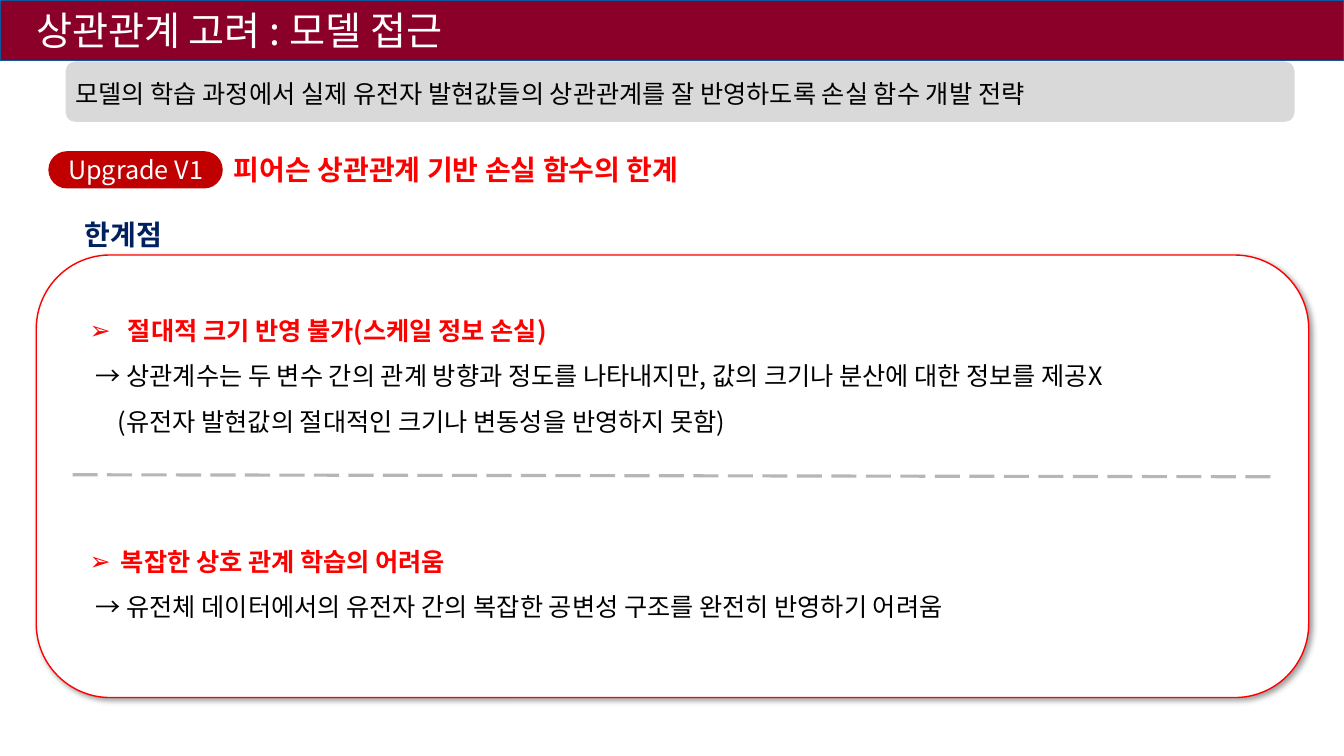
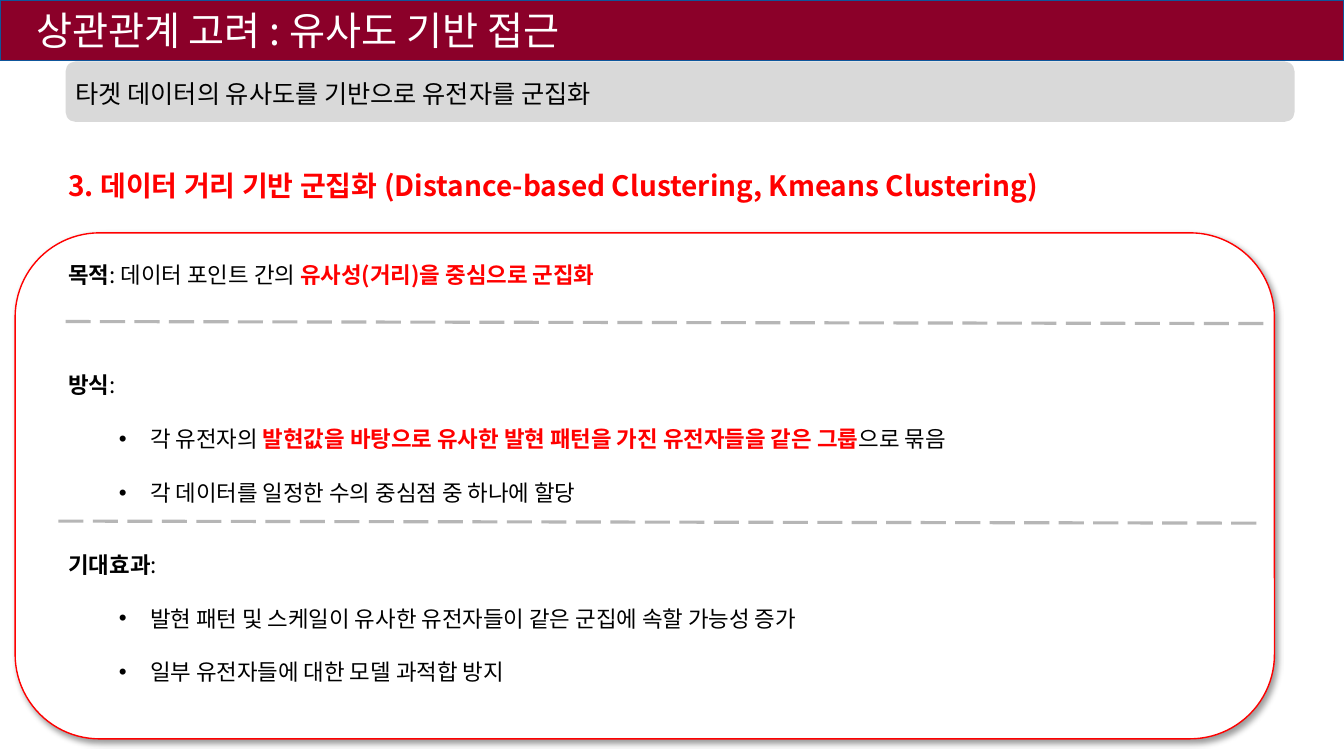
from dataclasses import dataclass
from lxml import etree
from pptx import Presentation
from pptx.dml.color import RGBColor
from pptx.enum.dml import MSO_LINE
from pptx.enum.shapes import MSO_CONNECTOR, MSO_SHAPE
from pptx.enum.text import MSO_ANCHOR, PP_ALIGN
from pptx.oxml import parse_xml
from pptx.oxml.ns import nsdecls, qn
from pptx.util import Emu, Pt

PX = 9144  # 100 px to the inch


@dataclass(frozen=True)
class Theme:
    font: str = "Noto Sans CJK KR"
    latin: str = "Arial"
    white: str = "FFFFFF"
    black: str = "000000"
    red: str = "FF0000"
    pill: str = "C00000"
    navy: str = "002060"
    band: str = "8B0029"
    band_edge: str = "0F569B"
    strip: str = "D9D9D9"
    dash: str = "B6B6B6"
    title: int = 28
    heading: int = 20
    body: int = 18
    detail: int = 16


theme = Theme()

# Colour and weight of each kind of span
STYLES = {
    "plain": (theme.black, False),
    "strong": (theme.black, True),
    "alert": (theme.red, True),
    "light": (theme.white, False),
    "label": (theme.navy, True),
}


def write(frame, paragraphs, size, spacing=None, font=theme.font):
    """Each paragraph is (spans, left indent, hanging indent, bullet)."""
    frame.word_wrap = True
    for index, (spans, left, hang, bullet) in enumerate(paragraphs):
        para = frame.paragraphs[0] if index == 0 else frame.add_paragraph()
        if spacing:
            para.line_spacing = spacing
        properties = para._p.get_or_add_pPr()
        properties.set("marL", str(left * PX))
        properties.set("indent", str(-hang * PX))
        if bullet:
            etree.SubElement(properties, qn("a:buFont")).set("typeface", theme.latin)
            etree.SubElement(properties, qn("a:buChar")).set("char", bullet)
        for text, style in spans:
            span = para.add_run()
            span.text = text
            color, bold = STYLES[style]
            for name, value in {"size": Pt(size), "bold": bold, "name": font}.items():
                setattr(span.font, name, value)
            span.font.color.rgb = RGBColor.from_string(color)
            east = etree.SubElement(span._r.get_or_add_rPr(), qn("a:ea"))
            east.set("typeface", theme.font)


def add_panel(page, kind, area, fill, edge=None):
    panel = page.shapes.add_shape(kind, *[Emu(length * PX) for length in area])
    panel.shadow.inherit = False
    panel.fill.solid()
    panel.fill.fore_color.rgb = RGBColor.from_string(fill)
    if edge:
        panel.line.color.rgb = RGBColor.from_string(edge)
        panel.line.width = Pt(1)
    else:
        panel.line.fill.background()
    return panel


def line_of(text, style, left=0, hang=0, bullet=None):
    return ([(text, style)], left, hang, bullet)


# Content: text boxes are (area, paragraphs, size, line spacing, font)
PAGES = [
    {
        "title": "상관관계 고려 : 모델 접근",
        "summary": "모델의 학습 과정에서 실제 유전자 발현값들의 상관관계를 잘 반영하도록 손실 함수 개발 전략",
        "frame": (36, 253, 1262, 439),
        "pill": "Upgrade V1",
        "dashes": [(72, 471)],
        "texts": [
            ((222, 146, 510, 44),
             [line_of("피어슨 상관관계 기반 손실 함수의 한계", "alert")],
             theme.heading, None, theme.font),
            ((74, 211, 122, 44), [line_of("한계점", "label")],
             theme.heading, None, theme.latin),
            ((79, 293, 1165, 192), [
                line_of("절대적 크기 반영 불가(스케일 정보 손실)", "alert", 38, 38, "➢"),
                line_of("→ 상관계수는 두 변수 간의 관계 방향과 정도를 나타내지만, "
                        "값의 크기나 분산에 대한 정보를 제공X", "plain", 6),
                line_of("(유전자 발현값의 절대적인 크기나 변동성을 반영하지 못함)", "plain", 28),
            ], theme.body, 1.5, theme.font),
            ((79, 522, 1165, 141), [
                line_of("복잡한 상호 관계 학습의 어려움", "alert", 31, 31, "➢"),
                line_of("→ 유전체 데이터에서의 유전자 간의 복잡한 공변성 구조를 "
                        "완전히 반영하기 어려움", "plain", 6),
            ], theme.body, 1.5, theme.font),
        ],
    },
    {
        "title": "상관관계 고려 : 유사도 기반 접근",
        "summary": "타겟 데이터의 유사도를 기반으로 유전자를 군집화",
        "frame": (15, 231, 1249, 502),
        "pill": None,
        "dashes": [(65, 319), (58, 517)],
        "texts": [
            ((58, 162, 1036, 44),
             [line_of("3. 데이터 거리 기반 군집화 (Distance-based Clustering, "
                      "Kmeans Clustering)", "alert")],
             theme.heading, None, theme.font),
            ((58, 254, 602, 37), [
                ([("목적", "strong"), (": 데이터 포인트 간의 ", "plain"),
                  ("유사성(거리)을 중심으로 군집화", "alert")], 0, 0, None),
            ], theme.detail, None, theme.font),
            ((58, 337, 987, 172), [
                ([("방식", "strong"), (":", "plain")], 0, 0, None),
                ([("각 유전자의 ", "plain"),
                  ("발현값을 바탕으로 유사한 발현 패턴을 가진 유전자들을 같은 그룹", "alert"),
                  ("으로 묶음", "plain")], 81, 31, "•"),
                line_of("각 데이터를 일정한 수의 중심점 중 하나에 할당", "plain", 81, 31, "•"),
            ], theme.detail, 2.0, theme.font),
            ((58, 515, 832, 163), [
                ([("기대효과", "strong"), (":", "plain")], 0, 0, None),
                line_of("발현 패턴 및 스케일이 유사한 유전자들이 같은 군집에 속할 가능성 증가",
                        "plain", 81, 31, "•"),
                line_of("일부 유전자들에 대한 모델 과적합 방지", "plain", 81, 31, "•"),
            ], theme.detail, 2.0, theme.font),
        ],
    },
]

deck = Presentation()
deck.slide_width = Emu(1333 * PX)
deck.slide_height = Emu(750 * PX)

for content in PAGES:
    page = deck.slides.add_slide(deck.slide_layouts[6])

    # Red-edged frame with a soft shadow
    frame = add_panel(page, MSO_SHAPE.ROUNDED_RECTANGLE, content["frame"],
                      theme.white, theme.red)
    effects = frame._element.spPr.find(qn("a:effectLst"))
    effects.append(parse_xml(
        f'<a:outerShdw {nsdecls("a")} blurRad="{Pt(4)}" dist="{Pt(3)}" dir="2700000" '
        f'algn="tl" rotWithShape="0"><a:srgbClr val="{theme.black}">'
        '<a:alpha val="40000"/></a:srgbClr></a:outerShdw>'))

    # Title band and summary strip
    add_panel(page, MSO_SHAPE.RECTANGLE, (0, 0, 1333, 60), theme.band, theme.band_edge)
    add_panel(page, MSO_SHAPE.ROUNDED_RECTANGLE, (65, 61, 1219, 60), theme.strip)
    heads = [
        ((26, 1, 1282, 57), [line_of(content["title"], "light")],
         theme.title, None, theme.font),
        ((65, 73, 1233, 40), [line_of(content["summary"], "plain")],
         theme.body, None, theme.font),
    ]

    # Version pill
    if content["pill"]:
        pill = add_panel(page, MSO_SHAPE.ROUNDED_RECTANGLE, (48, 150, 173, 37), theme.pill)
        pill.adjustments[0] = 0.5
        write(pill.text_frame, [line_of(content["pill"], "light")], theme.body)
        pill.text_frame.vertical_anchor = MSO_ANCHOR.MIDDLE
        pill.text_frame.paragraphs[0].alignment = PP_ALIGN.CENTER

    # Text boxes
    for area, paragraphs, size, spacing, font in heads + content["texts"]:
        box = page.shapes.add_textbox(*[Emu(length * PX) for length in area])
        write(box.text_frame, paragraphs, size, spacing, font)

    # Dashed dividers, all of one length and slope
    for left, top in content["dashes"]:
        ends = (left + 1188, top + 2, left, top)
        divider = page.shapes.add_connector(
            MSO_CONNECTOR.STRAIGHT, *[Emu(length * PX) for length in ends])
        divider.line.color.rgb = RGBColor.from_string(theme.dash)
        divider.line.width = Pt(2.25)
        divider.line.dash_style = MSO_LINE.LONG_DASH
        etree.SubElement(divider._element.spPr, qn("a:effectLst"))

deck.save("out.pptx")
